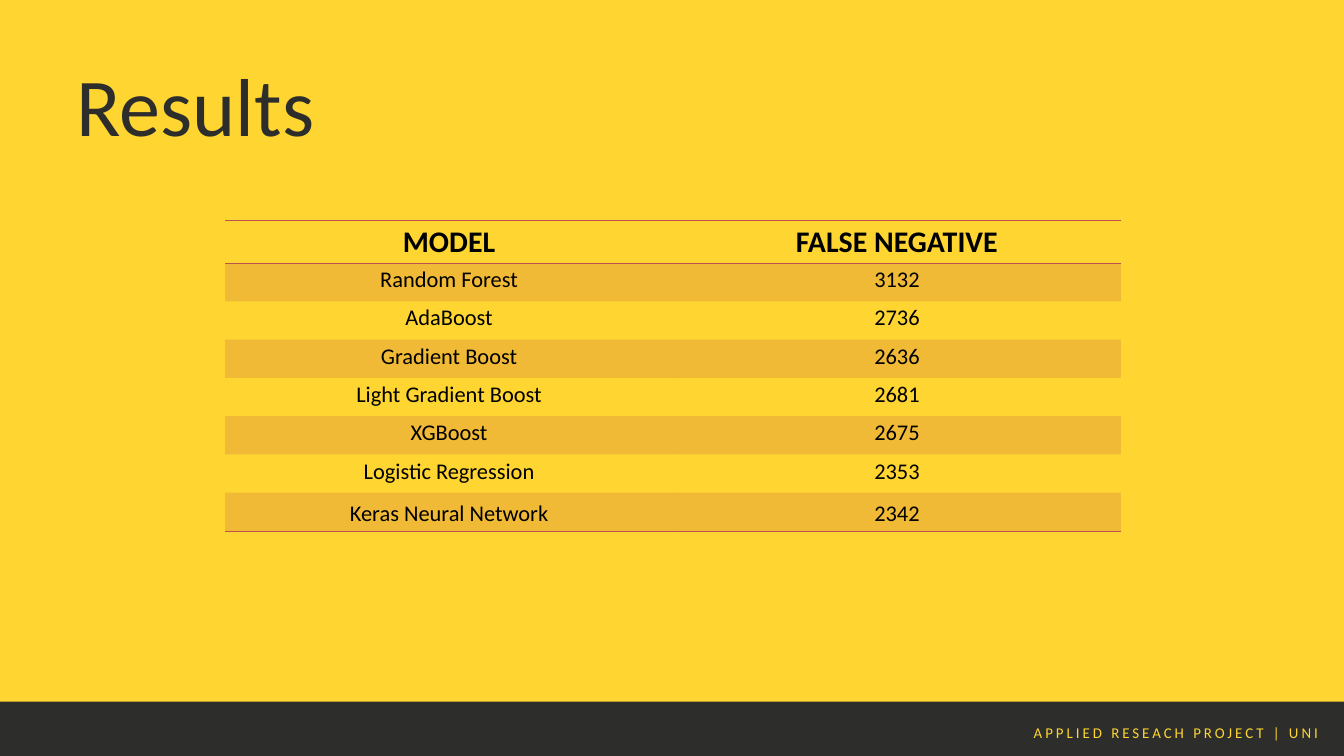
from lxml.etree import SubElement
from pptx import Presentation
from pptx.dml.color import RGBColor
from pptx.enum.shapes import MSO_SHAPE as Shape
from pptx.enum.text import PP_ALIGN as Align
from pptx.oxml.ns import qn
from pptx.util import Inches, Pt

COLORS = {"yellow": "FED531", "dark": "2D2E2C", "red": "C0504D", "black": "000000"}
FONT = "Calibri"
PLAIN_STYLE = "{2D5ABB26-0587-4C30-8999-92F81FD0307C}"  # no style, no grid
ROW_HEIGHT = 0.57

HEADINGS = ("MODEL", "FALSE NEGATIVE")
RESULTS = [
    ("Random Forest", "3132"),
    ("AdaBoost", "2736"),
    ("Gradient Boost", "2636"),
    ("Light Gradient Boost", "2681"),
    ("XGBoost", "2675"),
    ("Logistic Regression", "2353"),
]
LAST_RESULT = ("Keras Neural Network", "2342")


def color(name):
    return RGBColor.from_string(COLORS[name])


def add_run(paragraph, text, size, color_name, bold=False):
    run = paragraph.add_run()
    run.text = text
    run.font.name = FONT
    run.font.size = Pt(size)
    run.font.bold = bold
    run.font.color.rgb = color(color_name)
    return run


def add_line_of_text(slide, box, text, size, color_name, spacing, align=Align.LEFT):
    frame = slide.shapes.add_textbox(*map(Inches, box)).text_frame
    frame.word_wrap = True
    frame.margin_left = frame.margin_right = frame.margin_top = frame.margin_bottom = 0
    paragraph = frame.paragraphs[0]
    paragraph.alignment = align
    paragraph.line_spacing = Pt(spacing)
    return add_run(paragraph, text, size, color_name)


def add_border(cell, side):
    line = SubElement(cell._tc.get_or_add_tcPr(), qn(f"a:{side}"), w=str(Pt(1)))
    fill = SubElement(line, qn("a:solidFill"))
    SubElement(fill, qn("a:srgbClr"), val=COLORS["red"])


def shade(cell, opacity):
    cell.fill.solid()
    cell.fill.fore_color.rgb = color("red")
    tint = cell._tc.tcPr.find(qn("a:solidFill")).find(qn("a:srgbClr"))
    SubElement(tint, qn("a:alpha"), val=str(opacity * 1000))


def add_plain_table(slide, left, top, width, rows):
    """Add an unstyled table of centred text, two columns wide."""
    shape = slide.shapes.add_table(len(rows), 2, Inches(left), Inches(top),
                                   Inches(width), Inches(ROW_HEIGHT * len(rows)))
    table = shape.table
    table._tbl.tblPr.find(qn("a:tableStyleId")).text = PLAIN_STYLE
    table.first_row = table.horz_banding = False
    for row, values in enumerate(rows):
        for column, value in enumerate(values):
            is_heading = values is HEADINGS
            paragraph = table.cell(row, column).text_frame.paragraphs[0]
            paragraph.alignment = Align.CENTER
            if value:
                add_run(paragraph, value, 32 if is_heading else 24, "black", is_heading)
    return table


def add_results(slide, left, top, width):
    # Banded table, whose last band holds the closing result
    rows = [HEADINGS, *RESULTS, ("", "")]
    table = add_plain_table(slide, left, top, width, rows)
    for row in range(len(rows)):
        for column in range(2):
            cell = table.cell(row, column)
            if row == 0:
                add_border(cell, "lnT")
            if row in (0, len(rows) - 1):
                add_border(cell, "lnB")
            if row % 2:
                shade(cell, 20)
            else:
                cell.fill.background()

    # Closing result
    closing = add_plain_table(slide, left, top + 4.11, width, [LAST_RESULT])
    for cell in closing.iter_cells():
        cell.fill.background()


def add_footer(slide, left, top, width, height):
    bar = slide.shapes.add_shape(Shape.RECTANGLE, *map(Inches, (left, top, width, height)))
    bar.shadow.inherit = False
    bar.fill.solid()
    bar.fill.fore_color.rgb = color("dark")
    bar.line.fill.background()
    run = add_line_of_text(slide, (left + 8.29, top + 0.28, 11.33, 0.29),
                           "APPLIED RESEACH PROJECT | UNI", 16, "yellow", 22.4, Align.RIGHT)
    run.font._element.set("spc", "320")


def main():
    presentation = Presentation()
    presentation.slide_width = Inches(20)
    presentation.slide_height = Inches(11.25)
    slide = presentation.slides.add_slide(presentation.slide_layouts[6])
    slide.background.fill.solid()
    slide.background.fill.fore_color.rgb = color("yellow")

    add_footer(slide, 0, 10.44, 20, 1.3)
    add_line_of_text(slide, (1.14, 1.05, 17.75, 1.23), "Results", 88, "dark", 87.8)
    add_results(slide, 3.35, 3.28, 13.33)
    presentation.save("out.pptx")


if __name__ == "__main__":
    main()
